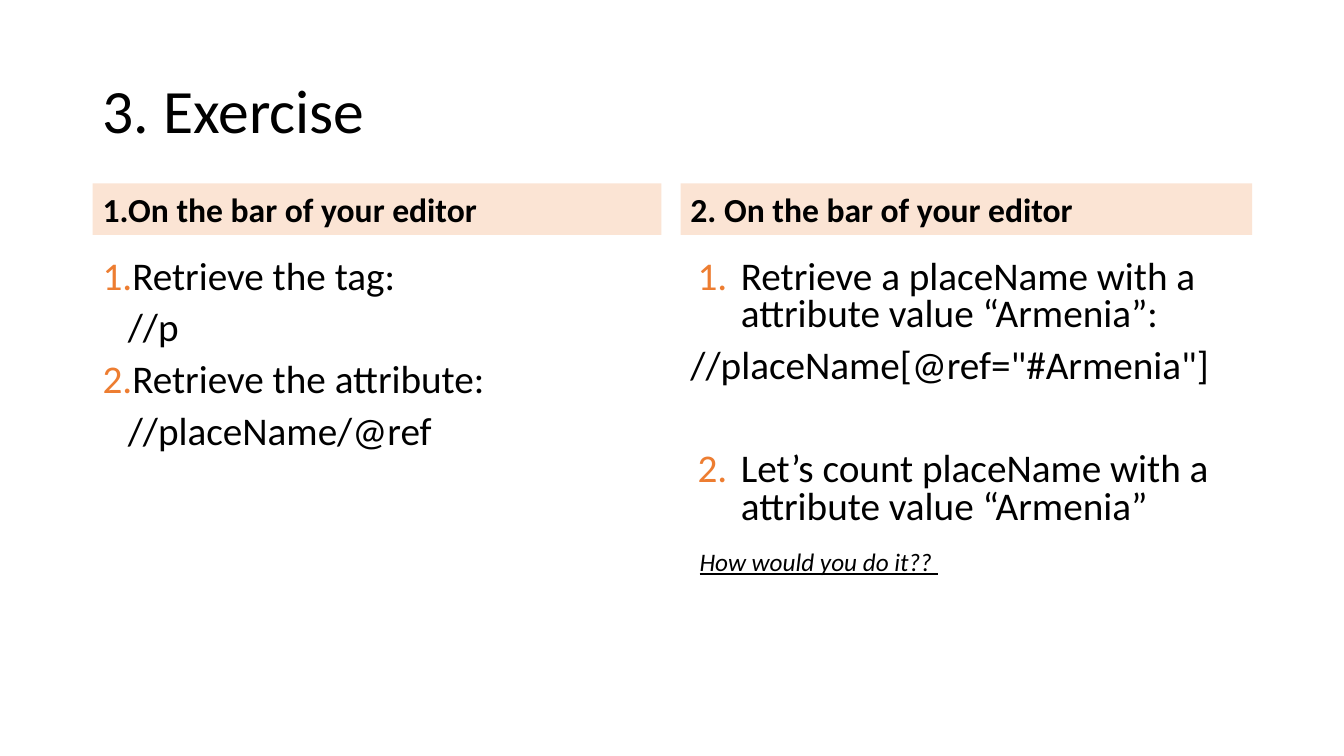
from lxml.etree import SubElement
from pptx import Presentation
from pptx.dml.color import RGBColor
from pptx.enum.shapes import MSO_SHAPE
from pptx.enum.text import MSO_ANCHOR, PP_ALIGN
from pptx.oxml.ns import qn
from pptx.util import Inches, Pt

FONT, INK, ACCENT, BAND = "Calibri", "000000", "ED7D31", "FBE4D4"
LEFT, HEADER_TOP, HEADER_HEIGHT = 0.92, 1.82, 0.51
BODY_TOP, BODY_HEIGHT = 2.53, 4.24


def color(value):
    return RGBColor.from_string(value)


def add_number(para, number):
    """Give the paragraph a coloured automatic number."""
    properties = para._p.get_or_add_pPr()
    bullet_color = SubElement(properties, qn("a:buClr"))
    SubElement(bullet_color, qn("a:srgbClr"), val=ACCENT)
    SubElement(properties, qn("a:buFont"), typeface=FONT)
    SubElement(properties, qn("a:buAutoNum"), type="arabicPeriod", startAt=str(number))


def write(para, text, size=28, bold=False, italic=False, underline=False,
          spacing=0.8, before=0, margin=0, hanging=0, number=None):
    para.alignment = PP_ALIGN.LEFT
    para.line_spacing = spacing
    para.space_before = Pt(before)
    properties = para._p.get_or_add_pPr()
    properties.set("marL", str(Inches(margin)))
    properties.set("indent", str(-Inches(hanging)))
    if number:
        add_number(para, number)
    span = para.add_run()
    span.text = text
    font = span.font
    font.name, font.size = FONT, Pt(size)
    font.bold, font.italic, font.underline = bold, italic, underline
    font.color.rgb = color(INK)


def add_text_box(page, left, top, width, height, anchor):
    box = page.shapes.add_textbox(Inches(left), Inches(top), Inches(width), Inches(height))
    box.text_frame.word_wrap = True
    box.text_frame.vertical_anchor = anchor
    return box


def add_title(page, text):
    box = add_text_box(page, LEFT, 0.4, 11.5, 1.45, MSO_ANCHOR.MIDDLE)
    write(box.text_frame.paragraphs[0], text, size=44, spacing=0.9)


def add_column(page, left, width, heading, lines):
    """Place a shaded heading with its exercise steps below."""
    band = page.shapes.add_shape(MSO_SHAPE.RECTANGLE, Inches(left), Inches(HEADER_TOP),
                                 Inches(width), Inches(HEADER_HEIGHT))
    band.shadow.inherit = False
    band.fill.solid()
    band.fill.fore_color.rgb = color(BAND)
    band.line.fill.background()
    band.text_frame.word_wrap = True
    band.text_frame.vertical_anchor = MSO_ANCHOR.BOTTOM
    write(band.text_frame.paragraphs[0], heading, size=24, bold=True, spacing=0.9)

    frame = add_text_box(page, left, BODY_TOP, width, BODY_HEIGHT, MSO_ANCHOR.TOP).text_frame
    for index, (text, style) in enumerate(lines):
        para = frame.add_paragraph() if index else frame.paragraphs[0]
        write(para, text, **({"before": 10 if index else 0} | style))


def main():
    deck = Presentation()
    deck.slide_width, deck.slide_height = Inches(13.33), Inches(7.5)
    page = deck.slides.add_slide(deck.slide_layouts[6])
    add_title(page, "3. Exercise")

    tight = {"margin": 0.25, "hanging": 0.25}
    wide = {"margin": 0.5, "hanging": 0.43}
    add_column(page, LEFT, 5.64, "1.On the bar of your editor", [
        ("Retrieve the tag:", tight | {"number": 1}),
        ("//p", {"margin": 0.25}),
        ("Retrieve the attribute:", tight | {"number": 2}),
        ("//placeName/@ref", {"margin": 0.25}),
    ])
    add_column(page, 6.75, 5.67, "2. On the bar of your editor", [
        ("Retrieve a placeName with a attribute value “Armenia”:", wide | {"number": 1}),
        ('//placeName[@ref="#Armenia"]', {}),
        ("Let’s count placeName with a attribute value “Armenia”",
         wide | {"number": 2, "before": 47}),
        ("How would you do it?? ", {"size": 18, "italic": True, "underline": True,
                                    "margin": 0.09, "before": 17}),
    ])
    deck.save("out.pptx")


if __name__ == "__main__":
    main()
